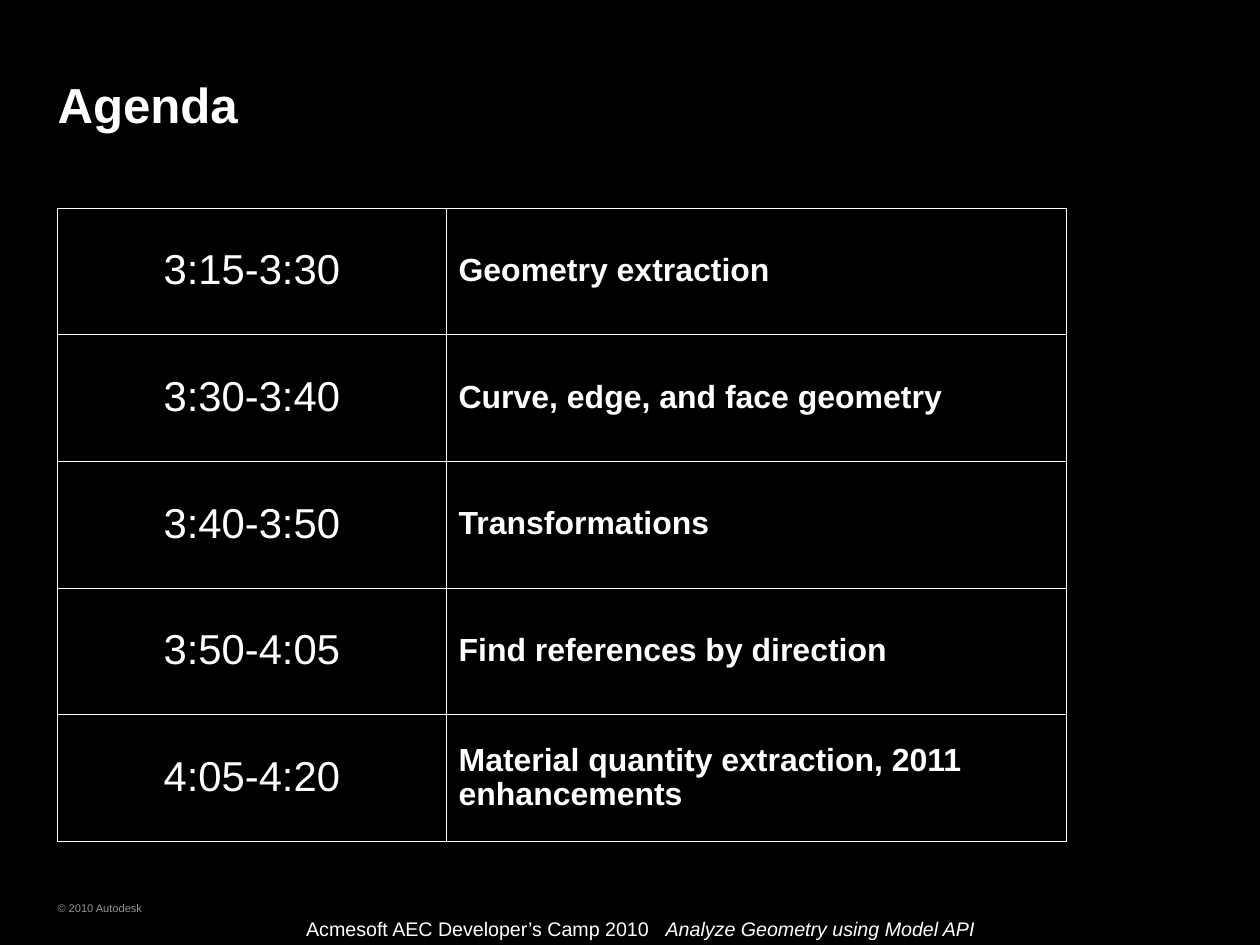
from lxml.etree import SubElement
from pptx import Presentation
from pptx.dml.color import RGBColor
from pptx.enum.text import MSO_ANCHOR, PP_ALIGN
from pptx.oxml.ns import qn
from pptx.util import Inches, Pt

BLACK = RGBColor(0x00, 0x00, 0x00)
WHITE = RGBColor(0xFF, 0xFF, 0xFF)
GRAY = RGBColor(0x96, 0x96, 0x96)

TITLE = "Agenda"
AGENDA = [
    ("3:15-3:30", "Geometry extraction"),
    ("3:30-3:40", "Curve, edge, and face geometry"),
    ("3:40-3:50", "Transformations"),
    ("3:50-4:05", "Find references by direction"),
    ("4:05-4:20", "Material quantity extraction, 2011 enhancements"),
]
COPYRIGHT = "© 2010 Autodesk"
EVENT = "Acmesoft AEC Developer’s Camp 2010"
TALK = "Analyze Geometry using Model API"

LEFT = 0.65
COLUMN_WIDTHS = (4.39, 7)
ROW_HEIGHT = 1.43
TALK_TAB = 4.06


def add_text(paragraph, text, size, color=WHITE, bold=False, italic=False,
             align=PP_ALIGN.LEFT):
    paragraph.alignment = align
    run = paragraph.add_run()
    run.text = text
    font = run.font
    font.name, font.size, font.bold, font.italic = "Arial", Pt(size), bold, italic
    font.color.rgb = color


def set_frame(frame, anchor=MSO_ANCHOR.MIDDLE, margins=(0, 0)):
    """Set wrapping, anchor and (side, top and bottom) margins in inches."""
    frame.word_wrap = True
    frame.vertical_anchor = anchor
    frame.margin_left = frame.margin_right = Inches(margins[0])
    frame.margin_top = frame.margin_bottom = Inches(margins[1])


def add_borders(cell):
    properties = cell._tc.get_or_add_tcPr()
    for side in ("a:lnL", "a:lnR", "a:lnT", "a:lnB"):
        line = SubElement(properties, qn(side), w=str(Pt(1)))
        fill = SubElement(line, qn("a:solidFill"))
        SubElement(fill, qn("a:srgbClr"), val=str(WHITE))


def add_agenda(slide):
    frame = slide.shapes.add_table(
        len(AGENDA), len(COLUMN_WIDTHS), Inches(LEFT), Inches(2.35),
        Inches(sum(COLUMN_WIDTHS)), Inches(ROW_HEIGHT * len(AGENDA)))
    table = frame.table
    table.first_row = table.horz_banding = False
    for column, width in zip(table.columns, COLUMN_WIDTHS):
        column.width = Inches(width)
    for row, (time, topic) in zip(table.rows, AGENDA):
        row.height = Inches(ROW_HEIGHT)
        time_cell, topic_cell = row.cells
        for cell in row.cells:
            add_borders(cell)
            cell.fill.solid()
            cell.fill.fore_color.rgb = BLACK
            cell.vertical_anchor = MSO_ANCHOR.MIDDLE
            cell.margin_left = cell.margin_right = Inches(0.14)
            cell.margin_top = cell.margin_bottom = Inches(0.07)
            cell.text_frame.paragraphs[0].line_spacing = 0.95
        add_text(time_cell.text_frame.paragraphs[0], time, 34, align=PP_ALIGN.CENTER)
        add_text(topic_cell.text_frame.paragraphs[0], topic, 26, bold=True)


def add_footer(slide):
    box = slide.shapes.add_textbox(Inches(LEFT), Inches(10.14), Inches(3.17), Inches(0.22))
    set_frame(box.text_frame)
    add_text(box.text_frame.paragraphs[0], COPYRIGHT, 9, color=GRAY)

    box = slide.shapes.add_textbox(Inches(3.36), Inches(10.3), Inches(8.2), Inches(0.37))
    set_frame(box.text_frame, anchor=MSO_ANCHOR.TOP, margins=(0.1, 0.05))
    paragraph = box.text_frame.paragraphs[0]
    tabs = SubElement(paragraph._p.get_or_add_pPr(), qn("a:tabLst"))
    SubElement(tabs, qn("a:tab"), pos=str(Inches(TALK_TAB)), algn="l")
    add_text(paragraph, EVENT + "\t", 16)
    add_text(paragraph, TALK, 16, italic=True)


def main():
    presentation = Presentation()
    presentation.slide_width, presentation.slide_height = Inches(14.23), Inches(10.67)
    slide = presentation.slides.add_slide(presentation.slide_layouts[5])
    slide.background.fill.solid()
    slide.background.fill.fore_color.rgb = BLACK

    title = slide.shapes.title
    title.left, title.top = Inches(LEFT), Inches(0.4)
    title.width, title.height = Inches(12.86), Inches(1.55)
    set_frame(title.text_frame)
    add_text(title.text_frame.paragraphs[0], TITLE, 40, bold=True)

    add_agenda(slide)
    add_footer(slide)
    presentation.save("out.pptx")


if __name__ == "__main__":
    main()
